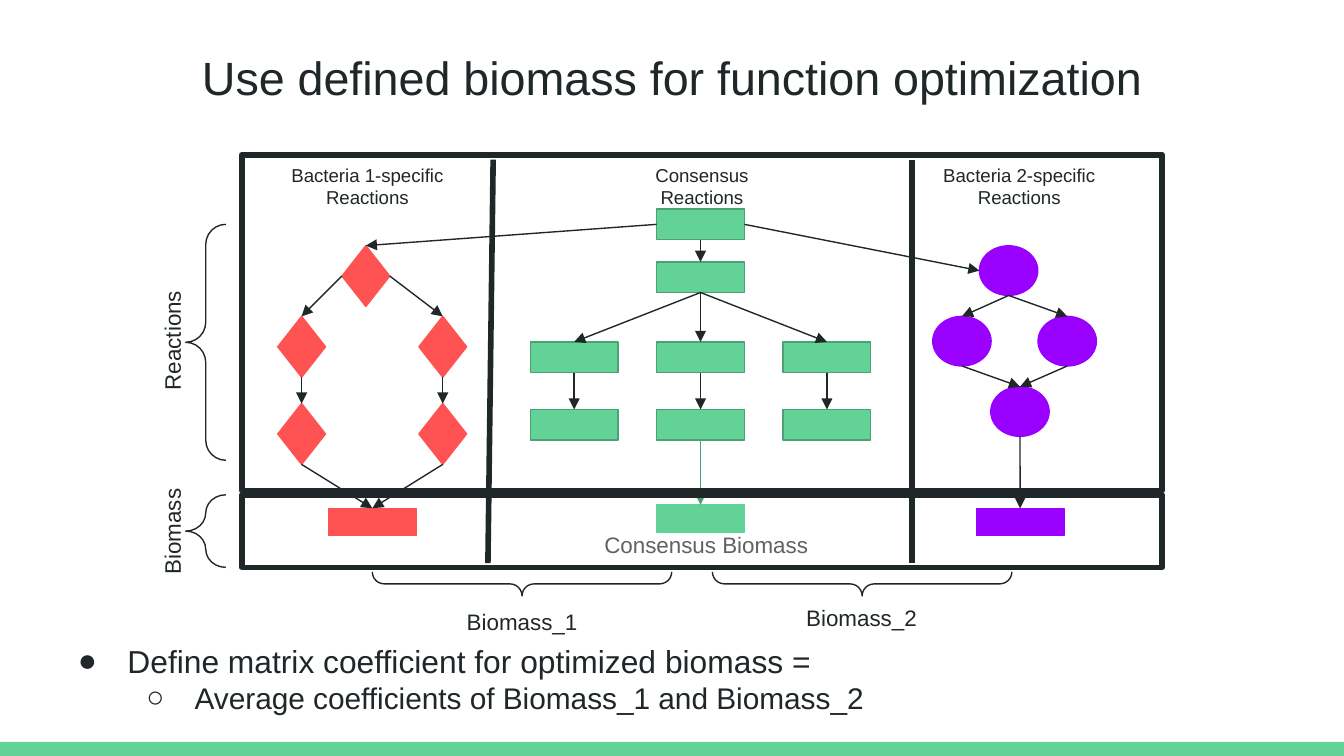
import lxml.etree
import pptx
import pptx.dml.color
import pptx.enum.shapes
import pptx.enum.text
import pptx.oxml.ns
import pptx.util

Pt = pptx.util.Pt
Kind = pptx.enum.shapes.MSO_SHAPE
Anchor = pptx.enum.text.MSO_ANCHOR
Align = pptx.enum.text.PP_ALIGN
TOP, LEFT, BOTTOM, RIGHT = range(4)
INK, GREY = "202729", "616161"
GREEN, DARK_GREEN, RED, PURPLE = "63D297", "4BA173", "FF5252", "9900FF"


def colour(hex_string):
    return pptx.dml.color.RGBColor.from_string(hex_string)


def add_xml(parent, tag, **attributes):
    child = lxml.etree.SubElement(parent, pptx.oxml.ns.qn(tag))
    for key, value in attributes.items():
        child.set(key, value)
    return child


def side_point(shape, side):
    """Middle of one side of a shape."""
    across = {LEFT: 0, RIGHT: shape.width}.get(side, shape.width // 2)
    down = {TOP: 0, BOTTOM: shape.height}.get(side, shape.height // 2)
    return shape.left + across, shape.top + down


class Diagram:
    font = "Arial"
    thin, thick = 0.75, 3

    def __init__(self, slide):
        self.shapes = slide.shapes

    def shape(self, kind, x, y, w, h, fill=None, line=None, weight=thin):
        shape = self.shapes.add_shape(kind, Pt(x), Pt(y), Pt(w), Pt(h))
        shape.shadow.inherit = False
        if fill:
            shape.fill.solid()
            shape.fill.fore_color.rgb = colour(fill)
        else:
            shape.fill.background()
        if line:
            shape.line.color.rgb = colour(line)
            shape.line.width = Pt(weight)
        else:
            shape.line.fill.background()
        return shape

    def frame(self, y, h):
        self.shape(Kind.RECTANGLE, 129.5, y, 493.2, h, None, INK, self.thick)

    def brace(self, x, y, w, h, rotation=0):
        brace = self.shape(Kind.LEFT_BRACE, x, y, w, h, None, INK)
        brace.adjustments[0] = 0.5
        brace.adjustments[1] = 0.5
        brace.rotation = rotation

    def line(self, start, end, color=INK, weight=thin, arrow=False):
        line = self.shapes.add_connector(
            pptx.enum.shapes.MSO_CONNECTOR.STRAIGHT, *start, *end)
        line.line.color.rgb = colour(color)
        line.line.width = Pt(weight)
        if arrow:
            add_xml(line.line._get_or_add_ln(), "a:tailEnd", type="triangle")
        add_xml(line._element.spPr, "a:effectLst")
        return line

    def arrow(self, source, source_side, target, target_side, color=INK):
        line = self.line(side_point(source, source_side),
                         side_point(target, target_side), color, arrow=True)
        # Ovals number their connection sites differently, so they stay unjoined
        if source.auto_shape_type != Kind.OVAL:
            line.begin_connect(source, source_side)
        if target.auto_shape_type != Kind.OVAL:
            line.end_connect(target, target_side)

    def text(self, words, x, y, w, h, size, color=INK, align=Align.CENTER,
             anchor=Anchor.TOP, rotation=0):
        box = self.shapes.add_textbox(Pt(x), Pt(y), Pt(w), Pt(h))
        box.rotation = rotation
        frame = box.text_frame
        frame.word_wrap = True
        frame.vertical_anchor = anchor
        frame.margin_left = frame.margin_right = Pt(7.2)
        frame.margin_top = frame.margin_bottom = Pt(7.2)
        frame.text = words
        for paragraph in frame.paragraphs:
            paragraph.alignment = align
            for run in paragraph.runs:
                run.font.name = self.font
                run.font.size = Pt(size)
                run.font.color.rgb = colour(color)
        return frame

    def bullet(self, paragraph, level, mark, size, margin, hanging):
        paragraph.level = level
        properties = paragraph._p.get_or_add_pPr()
        properties.set("marL", str(Pt(margin)))
        properties.set("indent", str(-Pt(hanging)))
        add_xml(add_xml(properties, "a:buClr"), "a:srgbClr", val=INK)
        add_xml(properties, "a:buFont", typeface=self.font)
        add_xml(properties, "a:buChar", char=mark)
        for run in paragraph.runs:
            run.font.size = Pt(size)


def main():
    deck = pptx.Presentation()
    deck.slide_width, deck.slide_height = Pt(720), Pt(405)
    diagram = Diagram(deck.slides.add_slide(deck.slide_layouts[6]))

    # Footer band and title
    diagram.shape(Kind.RECTANGLE, 0, 397.5, 720, 7.5, GREEN)
    diagram.text("Use defined biomass for function optimization",
                 24.5, 18.8, 671, 45.4, 25)

    # Consensus reactions: a stem of two, then three branches of two
    columns = [284.1 + 67.7 * i for i in range(3)]

    def consensus(x, y):
        return diagram.shape(Kind.RECTANGLE, x, y, 47, 16.4, GREEN, DARK_GREEN)

    root, hub = [consensus(columns[1], y) for y in (112, 140.3)]
    branches = [[consensus(x, y) for y in (183.2, 219.4)] for x in columns]

    # Reactions specific to each bacterium
    red_top, red_left, red_right, red_left_end, red_right_end = [
        diagram.shape(Kind.DIAMOND, x, y, 25.6, 32.6, RED, RED)
        for x, y in ((183.2, 131.6), (148.8, 169.5), (224.4, 169.5),
                     (148.8, 216.2), (224.4, 216.2))]
    purple_top, purple_left, purple_right, purple_end = [
        diagram.shape(Kind.OVAL, x, y, 31.3, 26.6, PURPLE, PURPLE)
        for x, y in ((524.7, 131.7), (499.7, 169.5), (556.1, 169.5),
                     (530.8, 207.2))]

    # Biomass of each group
    red_biomass, green_biomass, purple_biomass = [
        diagram.shape(Kind.RECTANGLE, x, y, 47, 14.5, color, color)
        for x, y, color in ((176, 272.3, RED), (columns[1], 270.5, GREEN),
                            (523, 272.3, PURPLE))]

    # Reaction arrows
    for source, source_side, target, target_side in (
            (root, LEFT, red_top, TOP),
            (root, RIGHT, purple_top, LEFT),
            (root, BOTTOM, hub, TOP),
            (red_top, LEFT, red_left, TOP),
            (red_top, RIGHT, red_right, TOP),
            (red_left, BOTTOM, red_left_end, TOP),
            (red_right, BOTTOM, red_right_end, TOP),
            (red_left_end, BOTTOM, red_biomass, TOP),
            (red_right_end, BOTTOM, red_biomass, TOP),
            (purple_top, BOTTOM, purple_left, TOP),
            (purple_top, BOTTOM, purple_right, TOP),
            (purple_left, BOTTOM, purple_end, TOP),
            (purple_right, BOTTOM, purple_end, TOP),
            (purple_end, BOTTOM, purple_biomass, TOP)):
        diagram.arrow(source, source_side, target, target_side)
    for first, last in branches:
        diagram.arrow(hub, BOTTOM, first, TOP)
        diagram.arrow(first, BOTTOM, last, TOP)
    diagram.arrow(branches[1][1], BOTTOM, green_biomass, TOP, DARK_GREEN)

    # Dividers and frames
    for top_x, bottom_x in ((264.2, 261.4), (488.7, 488.7)):
        diagram.line((Pt(top_x), Pt(85.5)), (Pt(bottom_x), Pt(301.7)),
                     weight=diagram.thick)
    for y, h in ((82.9, 180), (265.1, 38.9)):
        diagram.frame(y, h)

    # Row braces and labels
    for label, brace_y, brace_h, label_y in (
            ("Reactions", 120.2, 126.4, 166.3), ("Biomass", 265.1, 38.9, 268.6)):
        diagram.brace(99.5, brace_y, 21.5, brace_h)
        diagram.text(label, 47.5, label_y, 92.9, 32.4, 12, rotation=270)

    # Column headings
    for heading, x in (("Bacteria 1-specific\nReactions", 141.8),
                       ("Consensus Reactions", 321),
                       ("Bacteria 2-specific\nReactions", 491)):
        diagram.text(heading, x, 80.6, 110, 34.6, 10)

    # Combined biomass braces and labels
    for label, brace_x, label_x, label_y in (
            ("Biomass_1", 273.2, 241.6, 321.3), ("Biomass_2", 455.4, 423.4, 319)):
        diagram.brace(brace_x, 232.6, 12.9, 160.4, rotation=270)
        diagram.text(label, label_x, label_y, 76.3, 23.8, 12,
                     anchor=Anchor.MIDDLE)
    diagram.text("Consensus Biomass", 307.1, 283.3, 142.6, 16.6, 12, GREY,
                 anchor=Anchor.MIDDLE)

    # Conclusion
    conclusion = diagram.text(
        "Define matrix coefficient for optimized biomass =\n"
        "Average coefficients of Biomass_1 and Biomass_2",
        25.2, 336.4, 674.6, 45.4, 17, align=Align.LEFT)
    goal, method = conclusion.paragraphs
    diagram.bullet(goal, 0, "●", 17, 36, 26.6)
    diagram.bullet(method, 1, "○", 16, 72, 25.9)

    deck.save("out.pptx")


if __name__ == "__main__":
    main()
